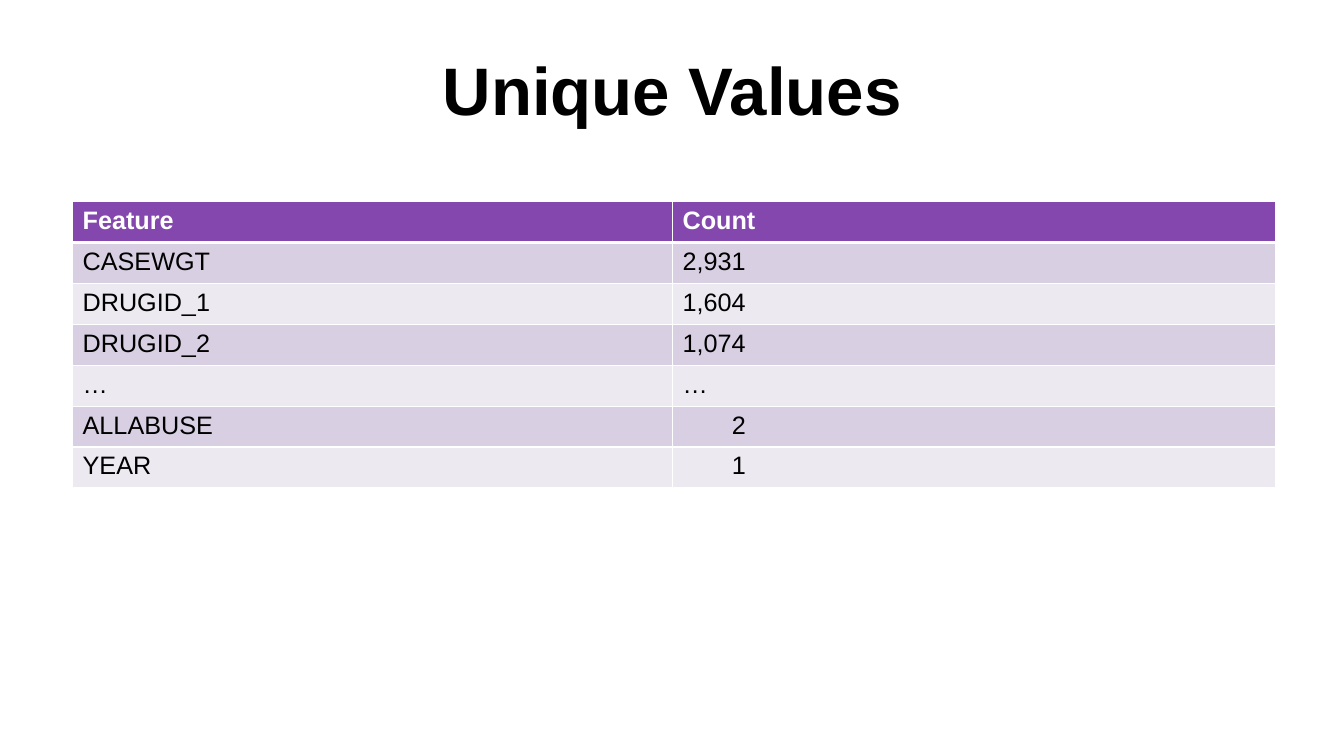
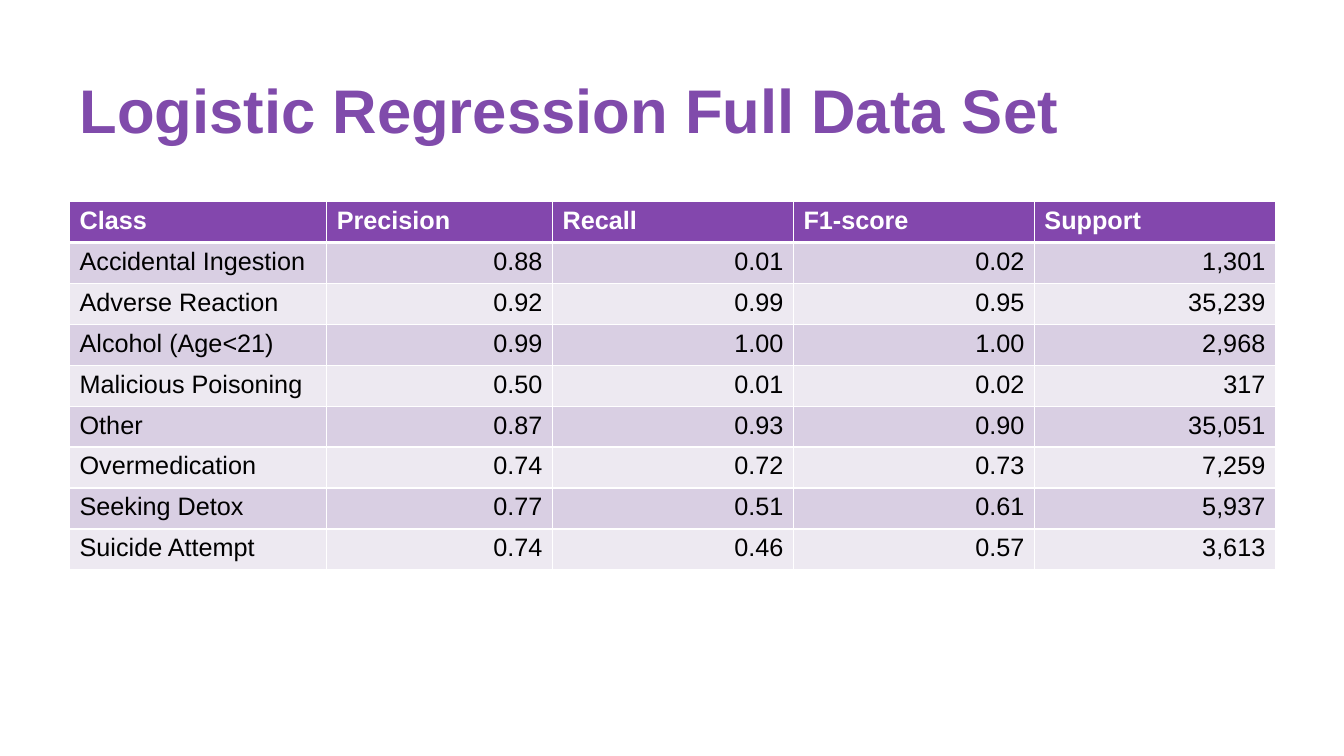
from lxml import etree
from pptx import Presentation
from pptx.dml.color import RGBColor
from pptx.enum.text import MSO_ANCHOR, MSO_AUTO_SIZE, PP_ALIGN
from pptx.oxml.ns import qn
from pptx.util import Inches, Pt

LEFT, CENTER, RIGHT = PP_ALIGN.LEFT, PP_ALIGN.CENTER, PP_ALIGN.RIGHT
MIDDLE, BOTTOM = MSO_ANCHOR.MIDDLE, MSO_ANCHOR.BOTTOM
NO_AUTOFIT = MSO_AUTO_SIZE.NONE

COLORS = {
    "text": "000000",
    "title": "804BAB",
    "header": "8347AD",
    "odd": "D9CFE3",
    "even": "EDE9F1",
    "white": "FFFFFF",
}
FONT = "Arial"
TABLE_TOP, ROW_HEIGHT = 2, 0.406
CELL_MARGIN, DIGIT_INDENT = 0.1, 0.49


def style_paragraph(p, size, color, bold, align):
    """Set the font and alignment of a paragraph."""
    p.font.name, p.font.size, p.font.bold = FONT, Pt(size), bold
    p.font.color.rgb = RGBColor.from_string(COLORS[color])
    p.alignment = align


def add_border(cell, side, width):
    """Draw a white line on one side (L, R, T or B) of a cell."""
    ln = etree.SubElement(cell._tc.get_or_add_tcPr(), qn(f"a:ln{side}"), w=str(Pt(width)))
    fill = etree.SubElement(ln, qn("a:solidFill"))
    etree.SubElement(fill, qn("a:srgbClr"), val=COLORS["white"])


SLIDES = [
    {
        "title": "Unique Values",
        "title_box": (0.92, 0.32, 11.5, 1.02),
        "title_style": (48, "text", True, CENTER),
        "anchor": BOTTOM,
        "left": 0.72,
        "widths": [5.95, 5.98],
        "number_align": LEFT,
        "rows": [
            ("Feature", "Count"),
            ("CASEWGT", "2,931"),
            ("DRUGID_1", "1,604"),
            ("DRUGID_2", "1,074"),
            ("…", "…"),
            ("ALLABUSE", "2"),
            ("YEAR", "1"),
        ],
    },
    {
        "title": "Logistic Regression Full Data Set",
        "title_box": (0.69, 0.4, 11.96, 1.45),
        "title_style": (44, "title", True, LEFT),
        "anchor": MIDDLE,
        "left": 0.69,
        "widths": [2.55, 2.24, 2.39, 2.39, 2.39],
        "number_align": RIGHT,
        "rows": [
            ("Class", "Precision", "Recall", "F1-score", "Support"),
            ("Accidental Ingestion", "0.88", "0.01", "0.02", "1,301"),
            ("Adverse Reaction", "0.92", "0.99", "0.95", "35,239"),
            ("Alcohol (Age<21)", "0.99", "1.00", "1.00", "2,968"),
            ("Malicious Poisoning", "0.50", "0.01", "0.02", "317"),
            ("Other", "0.87", "0.93", "0.90", "35,051"),
            ("Overmedication", "0.74", "0.72", "0.73", "7,259"),
            ("Seeking Detox", "0.77", "0.51", "0.61", "5,937"),
            ("Suicide Attempt", "0.74", "0.46", "0.57", "3,613"),
        ],
    },
]

prs = Presentation()
prs.slide_width, prs.slide_height = Inches(13.33), Inches(7.5)
title_only = prs.slide_layouts[5]

for content in SLIDES:
    slide = prs.slides.add_slide(title_only)

    title = slide.shapes.title
    title.left, title.top, title.width, title.height = map(Inches, content["title_box"])
    tf = title.text_frame
    tf.text = content["title"]
    tf.word_wrap, tf.auto_size = True, NO_AUTOFIT
    tf.vertical_anchor = content["anchor"]
    p = tf.paragraphs[0]
    p.line_spacing = 0.9
    style_paragraph(p, *content["title_style"])

    rows, widths = content["rows"], content["widths"]
    table = slide.shapes.add_table(
        len(rows), len(widths), Inches(content["left"]), Inches(TABLE_TOP),
        Inches(sum(widths)), Inches(ROW_HEIGHT * len(rows))).table
    for column, width in zip(table.columns, widths):
        column.width = Inches(width)

    for i, row in enumerate(rows):
        table.rows[i].height = Inches(ROW_HEIGHT)
        is_header = i == 0
        fill = "header" if is_header else "odd" if i % 2 else "even"
        for j, text in enumerate(row):
            cell = table.cell(i, j)
            cell.text = text
            is_number = j > 0 and not is_header
            align = content["number_align"] if is_number else LEFT
            style_paragraph(cell.text_frame.paragraphs[0], 18,
                            "white" if is_header else "text", is_header, align)
            if is_number and text.isdigit() and align == LEFT:
                # Line single digits up with the units of the longer counts
                cell.margin_left = Inches(CELL_MARGIN + DIGIT_INDENT)
            for side in "LRTB":
                under_header = (i, side) in ((0, "B"), (1, "T"))
                add_border(cell, side, 3 if under_header else 1)
            cell.fill.solid()
            cell.fill.fore_color.rgb = RGBColor.from_string(COLORS[fill])

prs.save("out.pptx")
